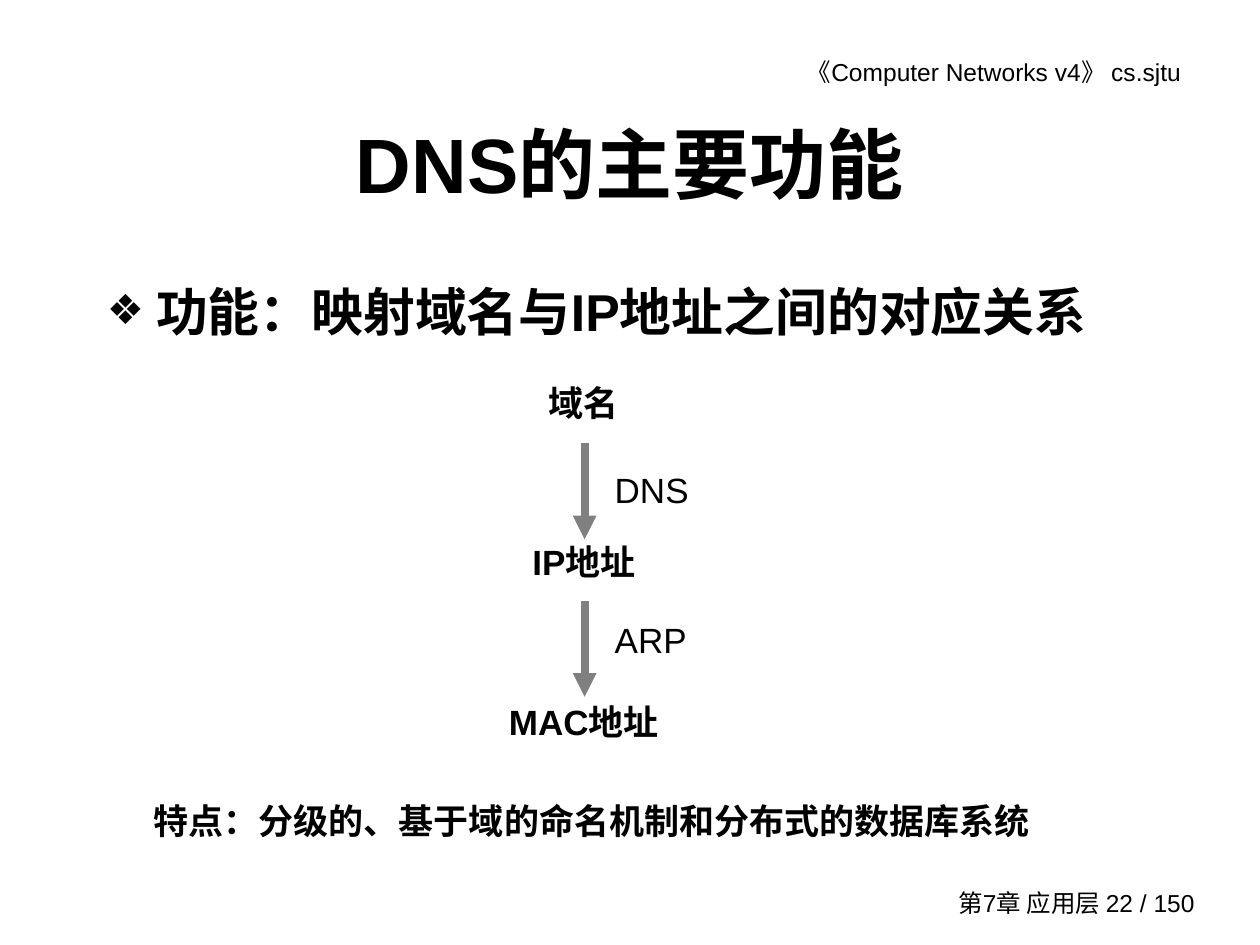
from lxml import etree
from pptx import Presentation
from pptx.dml.color import RGBColor as RGB
from pptx.enum.shapes import MSO_CONNECTOR as LINE
from pptx.enum.text import MSO_ANCHOR as ANCHOR, MSO_AUTO_SIZE as AUTO, PP_ALIGN as ALIGN
from pptx.oxml.ns import qn
from pptx.util import Inches, Pt

COLORS = {"text": "000000", "arrow": "808080"}


def style(para, size, bold=False, align=ALIGN.LEFT):
    para.alignment = align
    font = para.font
    font.name, font.size, font.bold = "Arial", Pt(size), bold
    font.color.rgb = RGB.from_string(COLORS["text"])


def add_text(x, y, w, h, text, size, bold=False, align=ALIGN.LEFT):
    """Add a wrapped text box, one paragraph per line, and return its frame."""
    box = slide.shapes.add_textbox(Inches(x), Inches(y), Inches(w), Inches(h))
    frame = box.text_frame
    frame.word_wrap = True
    frame.text = text
    for para in frame.paragraphs:
        style(para, size, bold, align)
    return frame


deck = Presentation()
deck.slide_width, deck.slide_height = Inches(10), Inches(7.5)
slide = deck.slides.add_slide(deck.slide_layouts[5])

# Header and footer
add_text(5.28, 0.4, 4.19, 0.34, "《Computer Networks v4》 cs.sjtu", 14, align=ALIGN.RIGHT)
foot = add_text(7.32, 7, 2.26, 0.33, "第7章 应用层 22 / 150", 14, align=ALIGN.RIGHT)
foot.vertical_anchor = ANCHOR.MIDDLE

# Title
title = slide.shapes.title
title.left, title.top = Inches(0.75), Inches(0.67)
title.width, title.height = Inches(8.5), Inches(1.25)
frame = title.text_frame
frame.text = "DNS的主要功能"
frame.auto_size = AUTO.NONE
frame.vertical_anchor = ANCHOR.MIDDLE
style(frame.paragraphs[0], 44, True, ALIGN.CENTER)

# Bulleted statement
body = add_text(0.75, 2.17, 8.74, 1, "", 29.6, True)
para = body.paragraphs[0]
para.clear()
para.text = "功能：映射域名与IP地址之间的对应关系"
props = para._p.get_or_add_pPr()
props.set("marL", str(Inches(0.39)))
props.set("indent", str(-Inches(0.39)))
marks = [("a:buSzPct", "val", "80000"), ("a:buFont", "typeface", "Arial"),
         ("a:buChar", "char", "❖")]
for spot, (tag, key, value) in enumerate(marks):
    mark = etree.Element(qn(tag))
    mark.set(key, value)
    props.insert(spot, mark)

# Address chain
chain = add_text(3.65, 3, 1.97, 3.08, "域名\nIP地址\nMAC地址", 20, True, ALIGN.CENTER)
for para in chain.paragraphs:
    para.line_spacing = 0.96
for para in chain.paragraphs[1:]:
    para.space_before = Pt(68)

for name, top, label in [("DNS", 3.52, 3.67), ("ARP", 4.77, 4.86)]:
    x = Inches(4.64)
    arrow = slide.shapes.add_connector(LINE.STRAIGHT, x, Inches(top), x, Inches(top + 0.76))
    arrow.line.width = Pt(4.5)
    arrow.line.color.rgb = RGB.from_string(COLORS["arrow"])
    tip = etree.SubElement(arrow.line._get_or_add_ln(), qn("a:tailEnd"))
    tip.set("type", "triangle")
    etree.SubElement(arrow._element.spPr, qn("a:effectLst"))
    add_text(4.78, label, 1.02, 0.4, name, 20)

add_text(1.12, 6.3, 7.33, 0.44, "特点：分级的、基于域的命名机制和分布式的数据库系统", 20, True)

deck.save("out.pptx")
